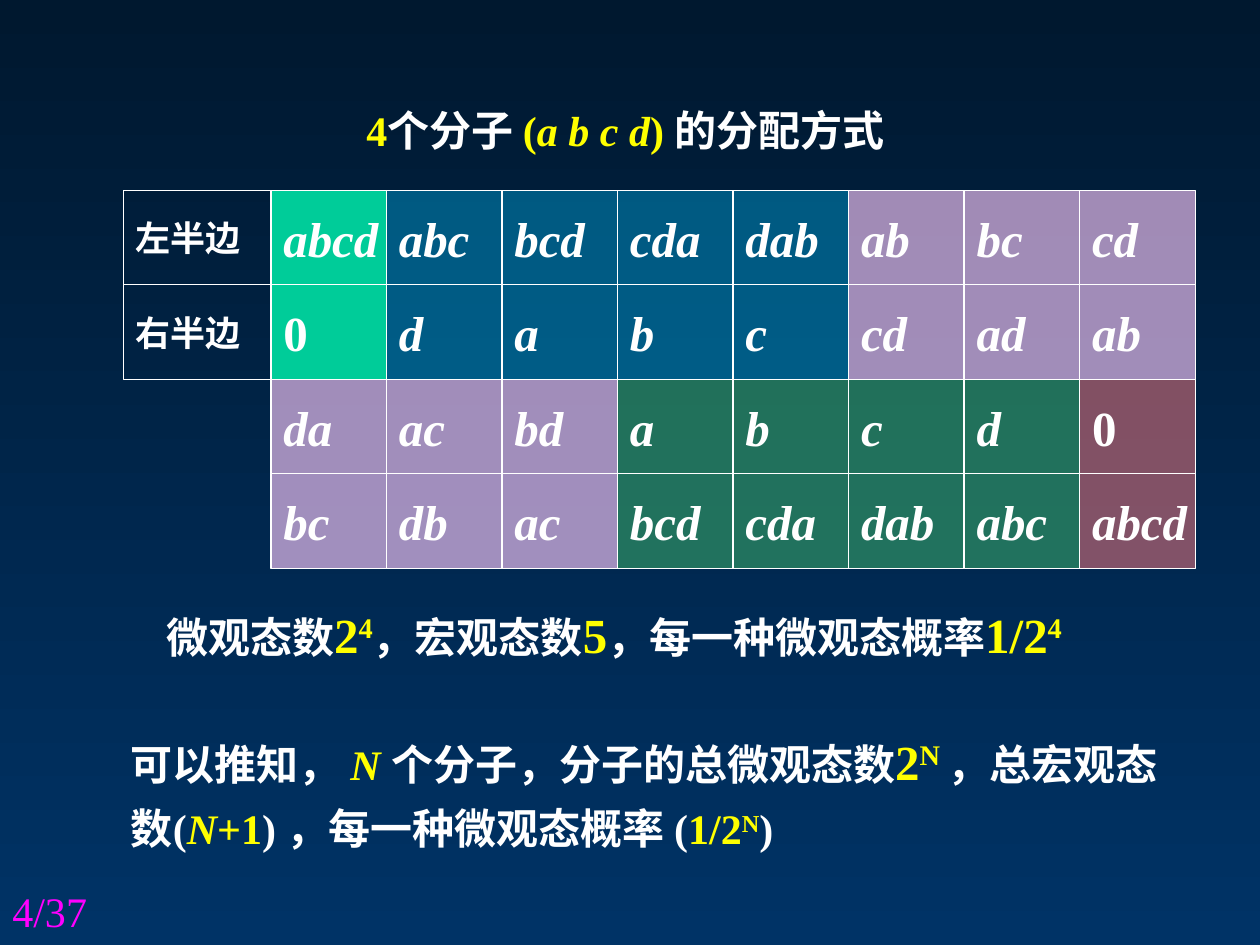
from dataclasses import dataclass

from lxml import etree
from pptx import Presentation
from pptx import util as u
from pptx.dml.color import RGBColor
from pptx.enum import lang, shapes, text
from pptx.oxml.ns import qn


@dataclass(frozen=True)
class Theme:
    """Colours, type sizes and the font of the slide."""
    font: str = "Times New Roman"
    white: str = "FFFFFF"
    gold: str = "FFFF00"
    pink: str = "FF00FF"
    top: str = "00182F"
    base: str = "003366"
    head: float = 20
    body: float = 24
    big: float = 28


THEME = Theme()
TONES = {"T": ("00CC99", 100), "B": ("0099CC", 49), "P": ("FFCCFF", 63),
         "G": ("339966", 66), "R": ("FF7C80", 51)}
ROWS = [("左半边", "TBBBBPPP", "abcd abc bcd cda dab ab bc cd"),
        ("右半边", "TBBBBPPP", "0 d a b c cd ad ab"),
        ("", "PPPGGGGR", "da ac bd a b c d 0"),
        ("", "PPPGGGGR", "bc db ac bcd cda dab abc abcd")]


def write(para, words, size=THEME.body, tint=THEME.white, bold=True, slant=False, lift=False):
    """Add one run of text in the given format."""
    run = para.add_run()
    run.text = words
    font = run.font
    font.name, font.size, font.bold, font.italic = THEME.font, u.Pt(size), bold, slant
    font.color.rgb = RGBColor.from_string(tint)
    font.language_id = lang.MSO_LANGUAGE_ID.SIMPLIFIED_CHINESE
    if lift:
        run._r.get_or_add_rPr().set("baseline", "30000")


class Deck:
    """Hold the style, the current slide and the cell grid."""

    def __init__(self, theme):
        """Open a blank slide on a graded ground."""
        self.theme = theme
        self.show = Presentation()
        self.show.slide_width, self.show.slide_height = u.Inches(10), u.Inches(7.5)
        self.slide = self.show.slides.add_slide(self.show.slide_layouts[6])
        self.left, self.top, self.wide, self.high = map(u.Inches, (2.15, 1.51, 0.917, 0.75))
        self.side = u.Inches(1.17)
        fill = self.slide.background.fill
        fill.gradient()
        fill.gradient_angle = 270
        for stop, tint in zip(fill.gradient_stops, (theme.top, theme.base)):
            stop.color.rgb = RGBColor.from_string(tint)

    def cell(self, col, row, words, tone=None, **form):
        """Draw a grid cell; column -1 is the label column."""
        x, wide = self.left + col * self.wide, self.wide
        if col < 0:
            x, wide = self.left - self.side, self.side
        box = self.slide.shapes.add_shape(shapes.MSO_SHAPE.RECTANGLE, int(x),
                                          self.top + row * self.high, wide, self.high)
        box.shadow.inherit = False
        box.line.color.rgb = RGBColor.from_string(self.theme.white)
        box.line.width = u.Pt(0.75)
        if tone:
            tint, share = TONES[tone]
            box.fill.solid()
            box.fill.fore_color.rgb = RGBColor.from_string(tint)
            color = box._element.spPr.find(qn("a:solidFill"))[0]
            if share < 100:
                etree.SubElement(color, qn("a:alpha")).set("val", str(share * 1000))
        else:
            box.fill.background()
        frame = box.text_frame
        frame.word_wrap = False
        frame.vertical_anchor = text.MSO_ANCHOR.MIDDLE
        para = frame.paragraphs[0]
        para.alignment = text.PP_ALIGN.LEFT
        write(para, words, **form)

    def note(self, x, y, wide, high, runs, gap=None):
        """Place a text box by shares of the slide's size."""
        full, tall = self.show.slide_width, self.show.slide_height
        box = self.slide.shapes.add_textbox(int(x * full), int(y * tall),
                                            int(wide * full), int(high * tall))
        frame = box.text_frame
        frame.word_wrap = True
        para = frame.paragraphs[0]
        if gap:
            para.line_spacing = gap
        for words, form in runs:
            write(para, words, **form)


def main():
    """Build and save the slide."""
    deck = Deck(THEME)
    plain, gold = {}, {"tint": THEME.gold}
    slant = {**gold, "slant": True}
    power = {**gold, "lift": True}
    big, lift = {**gold, "size": THEME.big}, {**power, "size": THEME.big}

    deck.note(0.281, 0.104, 0.564, 0.067, [
        ("4", gold), ("个分子 ", plain), ("(", gold), ("a b c d", slant),
        (") ", gold), ("的分配方式", plain)])
    for row, (label, tones, words) in enumerate(ROWS):
        if label:
            deck.cell(-1, row, label, size=THEME.head)
        for col, (tone, word) in enumerate(zip(tones, words.split())):
            deck.cell(col, row, word, tone, size=THEME.big, slant=word != "0")
    deck.note(0.122, 0.633, 0.769, 0.139, [
        ("微观态数", plain), ("2", big), ("4", lift), ("，宏观态数", plain),
        ("5", big), ("，每一种微观态概率", plain), ("1/2", big), ("4", lift)])
    deck.note(0.094, 0.752, 0.858, 0.159, [
        ("可以推知， ", plain), ("N ", slant), ("个分子，分子的总微观态数", plain),
        ("2", big), ("N ", lift), ("，总宏观态数(", plain), ("N", slant),
        ("+1", gold), (") ，每一种微观态概率 (", plain), ("1/2", gold),
        ("N", power), (")", plain)], gap=1.25)
    deck.note(0, 0.931, 0.233, 0.069, [("4/37", {"tint": THEME.pink, "bold": False})])
    deck.show.save("out.pptx")


if __name__ == "__main__":
    main()
